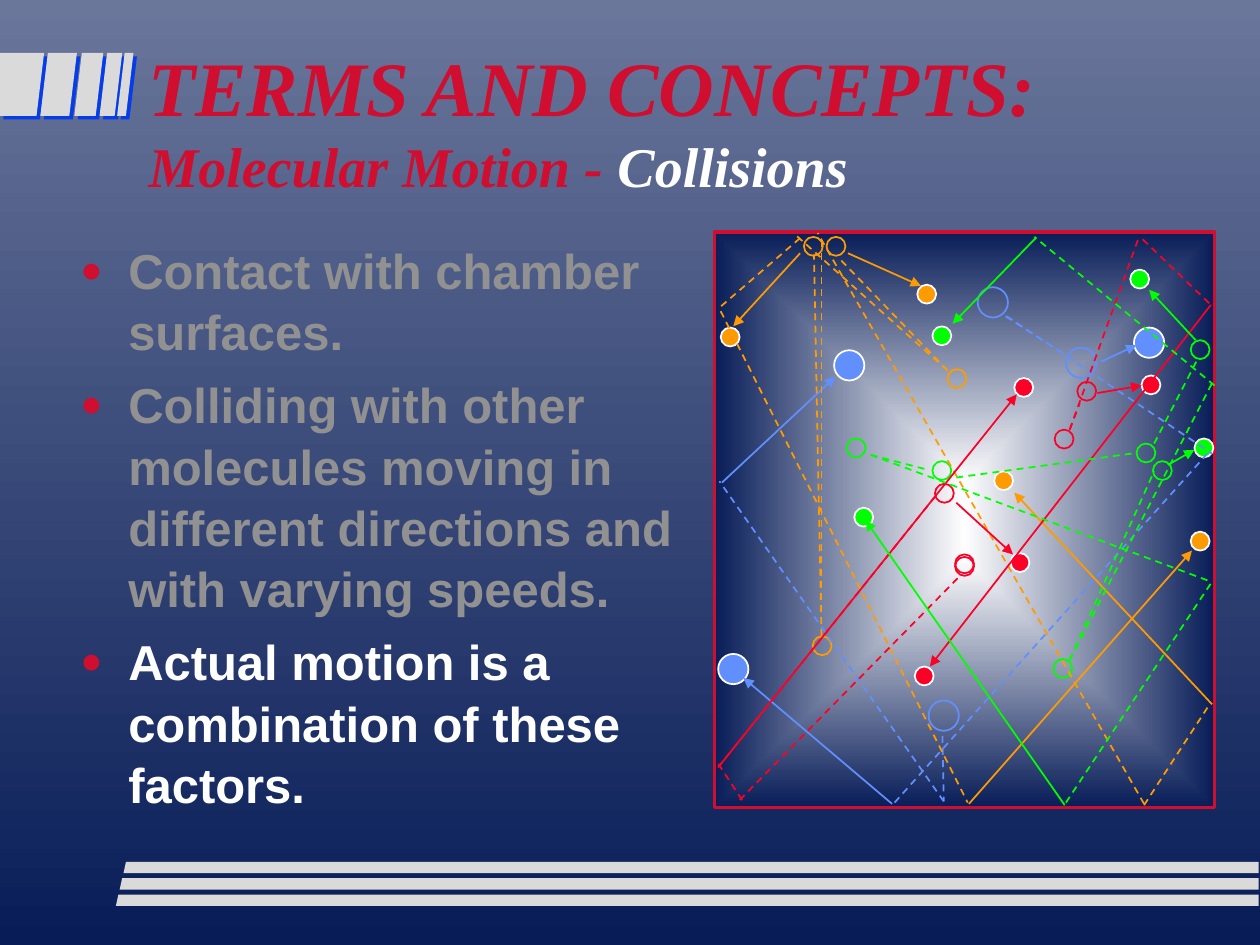
from lxml import etree
from pptx import Presentation
from pptx import util as u
from pptx.dml.color import RGBColor
from pptx.enum import dml, shapes, text
from pptx.oxml.ns import qn

COLUMNS, ROWS = 1000, 750
CELL = u.Inches(10) // COLUMNS
RED, WHITE, NAVY, SILVER, GREY = "CF0E30", "FFFFFF", "081D58", "DADADA", "919191"

BANNER_BARS = [(0, 35), (38, 61), (65, 82), (85, 97), (99, 106)]
POINTS = [
    ("Contact with chamber surfaces.", GREY),
    ("Colliding with other molecules moving in different directions and with varying speeds.", GREY),
    ("Actual motion is a combination of these factors.", WHITE),
]
MOLECULES = [
    {"color": "618FFD", "size": 24,
     "now": [(333, 76), (95, 94), (3, 335)],
     "before": [(170, 372), (279, 92), (209, 44)],
     "trails": [(231, 67, 279, 98), (181, 400, 182, 452), (232, 67, 395, 176),
                (143, 453, 393, 174), (182, 452, 4, 198)],
     "arrows": [(307, 103, 335, 90), (141, 454, 23, 354), (6, 199, 96, 115)]},
    {"color": "FE9B03", "size": 15,
     "now": [(161, 42), (5, 76), (222, 190), (378, 238)],
     "before": [(185, 109), (89, 4), (71, 4), (78, 321)],
     "trails": [(85, 321, 79, 18), (185, 110, 98, 20), (85, 321, 85, 3), (185, 110, 65, 3),
                (68, 5, 3, 61), (5, 63, 201, 453), (341, 454, 82, 1), (341, 455, 393, 375)],
     "arrows": [(68, 17, 15, 75), (106, 17, 164, 43), (202, 454, 379, 253), (395, 375, 238, 207)]},
    {"color": "FC0128", "size": 15,
     "now": [(339, 114), (235, 255), (238, 116), (159, 345)],
     "before": [(191, 256), (175, 200), (288, 119), (270, 157), (191, 258)],
     "trails": [(282, 157, 290, 136), (3, 425, 176, 209), (193, 275, 20, 451),
                (282, 157, 337, 4), (340, 6, 393, 57), (22, 451, 3, 422)],
     "arrows": [(192, 215, 237, 256), (304, 128, 339, 122), (394, 58, 171, 345), (3, 425, 240, 129)]},
    {"color": "00FF00", "size": 15,
     "now": [(330, 30), (381, 164), (111, 219), (173, 75)],
     "before": [(105, 164), (269, 339), (173, 182), (348, 182), (335, 168), (378, 86)],
     "trails": [(124, 177, 170, 189), (282, 340, 349, 190), (192, 195, 331, 176),
                (349, 168, 384, 100), (124, 177, 395, 278), (282, 340, 395, 120),
                (397, 122, 254, 4), (279, 453, 396, 276)],
     "arrows": [(360, 185, 381, 173), (382, 86, 345, 46), (255, 5, 189, 73), (278, 455, 120, 229)]},
]


def rgb(value):
    """Return the colour for a hex string."""
    return RGBColor.from_string(value)


def cells(*counts):
    """Turn counts of grid cells into lengths."""
    return [u.Emu(count * CELL) for count in counts]


def add_xml(parent, tag, **attributes):
    """Append a drawing element to a parent and return it."""
    return etree.SubElement(parent, qn(tag), attributes)


def write(para, words, size, color, font, italic=False):
    """Add one formatted bold span of text to a paragraph."""
    span = para.add_run()
    span.text = words
    span.font.size, span.font.name = u.Pt(size), font
    span.font.bold, span.font.italic = True, italic
    span.font.color.rgb = rgb(color)


def paint_gradient(fill, colors):
    """Give a fill a gradient from the first colour to the second, top to bottom."""
    fill.gradient()
    fill.gradient_angle = 270
    for stop, color, position in zip(fill.gradient_stops, colors, (0, 1)):
        stop.color.rgb, stop.position = rgb(color), position


def add_bar(page, corners, shadow=None):
    """Draw a silver bar through its corners, with an optional hard shadow."""
    builder = page.shapes.build_freeform(*corners[0], scale=float(CELL))
    builder.add_line_segments(corners[1:], close=True)
    bar = builder.convert_to_shape()
    bar.shadow.inherit = False
    bar.fill.solid()
    bar.fill.fore_color.rgb = rgb(SILVER)
    bar.line.fill.background()
    if shadow:
        effects = bar.element.spPr.find(qn("a:effectLst"))
        cast = add_xml(effects, "a:outerShdw", blurRad="0", dist=str(u.Pt(2.8)),
                       dir="2700000", algn="ctr", rotWithShape="0")
        add_xml(cast, "a:srgbClr", val=shadow)


def add_banner(page, left, top, height, slant=6):
    """Draw the slanted bars that lead into the title."""
    for start, end in BANNER_BARS:
        start, end = left + start, left + end
        add_bar(page, [(start, top), (end, top), (end - slant, top + height),
                       (max(left, start - slant), top + height)], shadow="063DE8")


def add_footer(page, left, top, right, height=9, pitch=13):
    """Draw three stripes, each starting further left than the one above."""
    for row in range(3):
        start, upper = left - 3 * row, top + pitch * row
        add_bar(page, [(start, upper + height), (right, upper + height),
                       (right, upper), (start + 2, upper)])


def add_title(page, *box):
    """Place the two-line title."""
    title = page.shapes.title
    title.left, title.top, title.width, title.height = cells(*box)
    frame = title.text_frame
    frame.auto_size = text.MSO_AUTO_SIZE.NONE
    frame.vertical_anchor = text.MSO_ANCHOR.MIDDLE
    para = frame.paragraphs[0]
    para.alignment = text.PP_ALIGN.LEFT
    style = {"font": "Times New Roman", "italic": True}
    write(para, "TERMS AND CONCEPTS:", 44, RED, **style)
    para.add_line_break()
    write(para, "Molecular Motion - ", 32, RED, **style)
    write(para, "Collisions", 32, WHITE, **style)


def add_points(page, *box):
    """Place the bulleted points."""
    frame = page.shapes.add_textbox(*cells(*box)).text_frame
    frame.word_wrap = True
    for index, (words, color) in enumerate(POINTS):
        para = frame.add_paragraph() if index else frame.paragraphs[0]
        para.line_spacing = 1.04
        para.space_before = u.Pt(7 if index else 0)
        layout = para._p.get_or_add_pPr()
        indent = cells(38)[0]
        layout.set("marL", str(indent))
        layout.set("indent", str(-indent))
        add_xml(add_xml(layout, "a:buClr"), "a:srgbClr", val=RED)
        add_xml(layout, "a:buSzPct", val="75000")
        add_xml(layout, "a:buFont", typeface="Arial")
        add_xml(layout, "a:buChar", char="●")
        write(para, words, 28, color, "Arial")


def add_molecule(page, left, top, size, color, filled):
    """Draw a molecule, solid where it is now and hollow where it was."""
    ball = page.shapes.add_shape(shapes.MSO_SHAPE.OVAL, *cells(left, top, size, size))
    ball.shadow.inherit = False
    ball.line.width = u.Pt(1)
    ball.line.color.rgb = rgb(WHITE if filled else color)
    if filled:
        ball.fill.solid()
        ball.fill.fore_color.rgb = rgb(color)
    else:
        ball.fill.background()


def add_track(page, ends, color, arrow):
    """Draw a solid arrow or a dashed trail."""
    track = page.shapes.add_connector(shapes.MSO_CONNECTOR.STRAIGHT, *cells(*ends))
    track.line.width = u.Pt(1)
    track.line.color.rgb = rgb(color)
    if arrow:
        add_xml(track.line._get_or_add_ln(), "a:tailEnd", type="triangle")
    else:
        track.line.dash_style = dml.MSO_LINE.DASH
    add_xml(track.element.spPr, "a:effectLst")


def add_chamber(page, left, top, width, height):
    """Draw the chamber with its molecules and their tracks."""
    chamber = page.shapes.add_shape(shapes.MSO_SHAPE.RECTANGLE, *cells(left, top, width, height))
    chamber.shadow.inherit = False
    paint_gradient(chamber.fill, ("FEFEFE", NAVY))
    gradient = chamber.element.spPr.find(qn("a:gradFill"))
    gradient.remove(gradient.find(qn("a:lin")))
    focus = add_xml(gradient, "a:path", path="rect")
    add_xml(focus, "a:fillToRect", **dict.fromkeys("ltrb", "50000"))
    chamber.line.color.rgb = rgb(RED)
    chamber.line.width = u.Pt(2)
    for kind in MOLECULES:
        for state in ("before", "now"):
            for across, down in kind[state]:
                add_molecule(page, left + across, top + down, kind["size"],
                             kind["color"], state == "now")
    for kind in MOLECULES:
        for track in ("trails", "arrows"):
            for x1, y1, x2, y2 in kind[track]:
                ends = (left + x1, top + y1, left + x2, top + y2)
                add_track(page, ends, kind["color"], track == "arrows")


def main():
    """Build the slide and save the deck."""
    deck = Presentation()
    deck.slide_width, deck.slide_height = cells(COLUMNS, ROWS)
    page = deck.slides.add_slide(deck.slide_layouts[5])
    paint_gradient(page.background.fill, ("6A769A", NAVY))
    add_banner(page, 0, 42, 50)
    add_footer(page, 98, 684, 999)
    add_title(page, 108, 30, 850, 129)
    add_points(page, 54, 184, 514, 457)
    add_chamber(page, 567, 184, 397, 457)
    deck.save("out.pptx")


if __name__ == "__main__":
    main()
